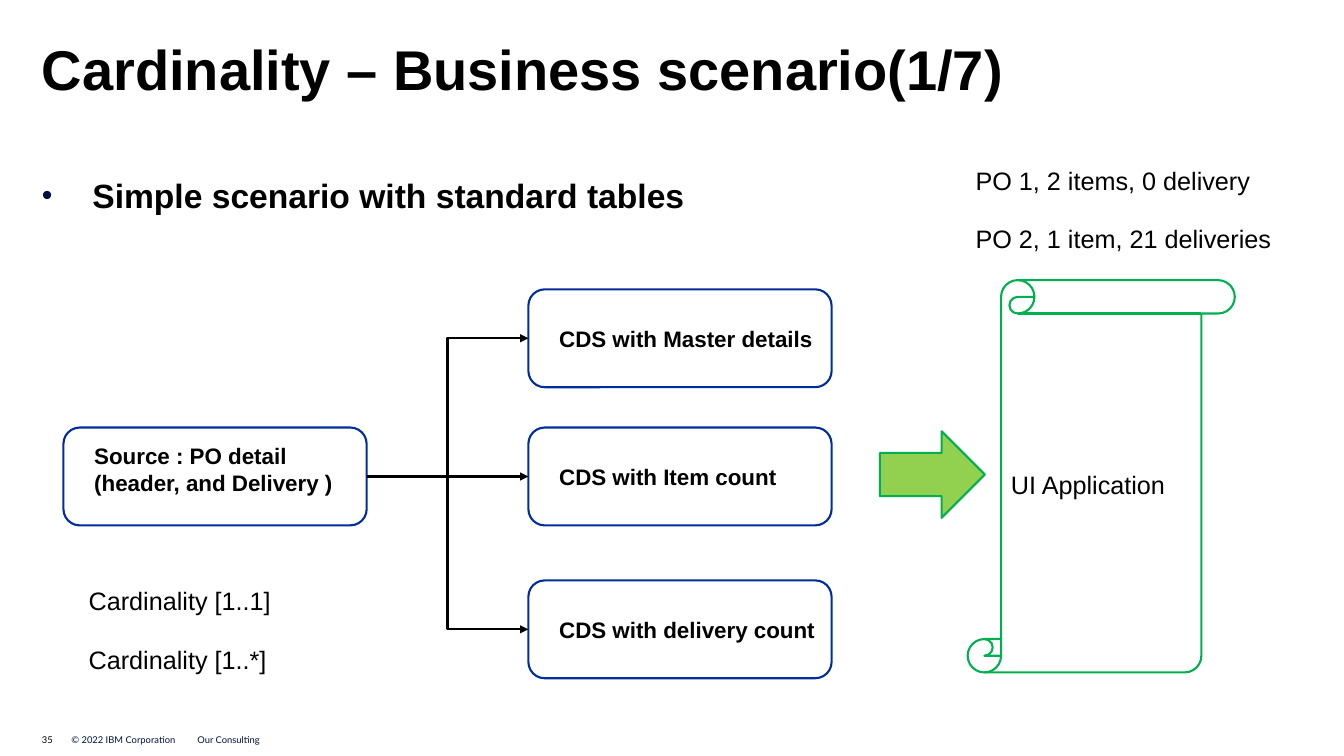
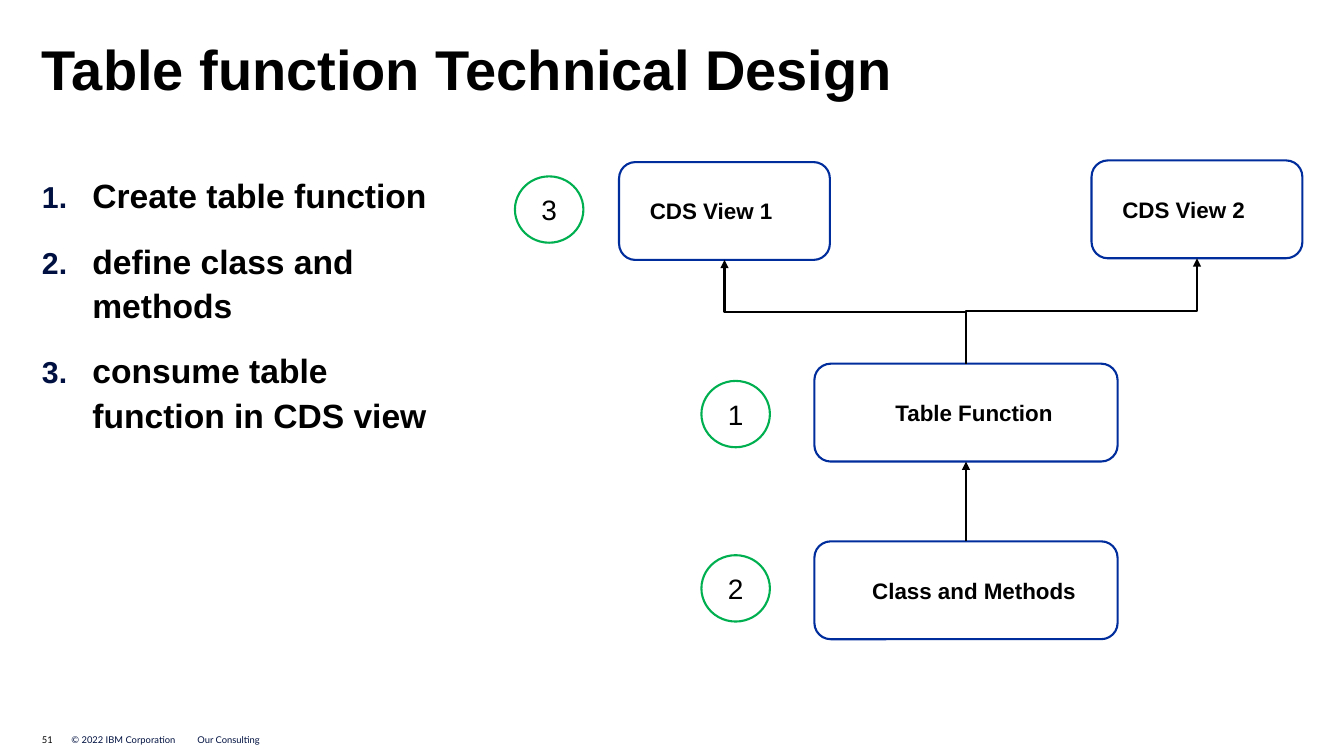
from dataclasses import dataclass

from lxml.etree import SubElement
from pptx import Presentation
from pptx.dml.color import RGBColor
from pptx.enum.shapes import MSO_CONNECTOR, MSO_SHAPE
from pptx.enum.text import MSO_ANCHOR, PP_ALIGN
from pptx.oxml.ns import qn
from pptx.util import Inches, Pt


@dataclass(frozen=True)
class Theme:
    ink: str = "000000"
    navy: str = "001141"
    blue: str = "002D9C"
    green: str = "00B050"
    lime: str = "92D050"
    white: str = "FFFFFF"
    font: str = "Arial"
    footer_font: str = "Lato"
    title: float = 40
    lead: float = 24
    badge: float = 20
    body: float = 18
    box: float = 16
    footer: float = 6.7
    line: float = 1.5


theme = Theme()
deck = Presentation()
deck.slide_width, deck.slide_height = Inches(13.33), Inches(7.5)
COLUMN, ROW = deck.slide_width / 32, deck.slide_height / 18


def put(slide, at, text="", preset=None, fill=None, line=None, size=theme.body,
        color=theme.ink, font=theme.font, bold=False, align=PP_ALIGN.LEFT,
        anchor=MSO_ANCHOR.TOP, inset=0, indent=0, spacing=1, before=0, bullet=None):
    """Place text at (column, row, columns, rows), inside a preset shape if one is named."""
    left, top, width, height = at
    frame = int(left * COLUMN), int(top * ROW), int(width * COLUMN), int(height * ROW)
    if preset is None:
        shape = slide.shapes.add_textbox(*frame)
    else:
        shape = slide.shapes.add_shape(preset, *frame)
        shape.shadow.inherit = False
        shape.line.color.rgb = RGBColor.from_string(line)
        shape.line.width = Pt(theme.line)
        if fill:
            shape.fill.solid()
            shape.fill.fore_color.rgb = RGBColor.from_string(fill)
        else:
            shape.fill.background()
    body = shape.text_frame
    body.word_wrap = True
    body.vertical_anchor = anchor
    body.margin_left = body.margin_right = Inches(inset)
    body.margin_top = body.margin_bottom = Inches(inset)
    for index, words in enumerate(text.split("\n") if text else []):
        paragraph = body.add_paragraph() if index else body.paragraphs[0]
        properties = paragraph._p.get_or_add_pPr()
        if bullet:
            properties.set("marL", str(Inches(0.5)))
            properties.set("indent", str(-Inches(0.5)))
            tint = SubElement(properties, qn("a:buClr"))
            SubElement(tint, qn("a:srgbClr"), val=theme.navy)
            SubElement(properties, qn("a:buSzPct"), val="90000")
            SubElement(properties, qn("a:buFont"), typeface=theme.font)
            if bullet == "1.":
                SubElement(properties, qn("a:buAutoNum"), type="arabicPeriod")
            else:
                SubElement(properties, qn("a:buChar"), char=bullet)
        elif indent:
            properties.set("marL", str(Inches(indent)))
        paragraph.alignment = align
        paragraph.line_spacing = spacing
        if index:
            paragraph.space_before = Pt(before)
        run = paragraph.add_run()
        run.text = words
        run.font.name, run.font.size, run.font.bold = font, Pt(size), bold
        run.font.color.rgb = RGBColor.from_string(color)
    return shape


def link(slide, source, target, upward=False):
    """Draw an arrow from source to target, rightward or upward."""
    if upward:
        x1, y1 = source.left + source.width / 2, source.top
        x2, y2 = target.left + target.width / 2, target.top + target.height
    else:
        x1, y1 = source.left + source.width, source.top + source.height / 2
        x2, y2 = target.left, target.top + target.height / 2
    straight = abs(x2 - x1) < COLUMN / 20 or abs(y2 - y1) < ROW / 20
    turned = upward and not straight
    if turned:
        # An elbow leaves sideways, so it is laid flat and then turned upward.
        x, y, rise, run = (x1 + x2) / 2, (y1 + y2) / 2, (y1 - y2) / 2, (x2 - x1) / 2
        x1, y1, x2, y2 = x - rise, y - run, x + rise, y + run
    kind = MSO_CONNECTOR.STRAIGHT if straight else MSO_CONNECTOR.ELBOW
    arrow = slide.shapes.add_connector(kind, int(x1), int(y1), int(x2), int(y2))
    arrow.line.color.rgb = RGBColor.from_string(theme.ink)
    arrow.line.width = Pt(theme.line)
    properties = arrow._element.spPr
    if turned:
        properties.find(qn("a:xfrm")).set("rot", str(270 * 60000))
    SubElement(arrow.line._get_or_add_ln(), qn("a:tailEnd"), type="triangle")
    SubElement(properties, qn("a:effectLst"))


title_style = dict(size=theme.title, bold=True, spacing=0.9)
lead_style = dict(size=theme.lead, bold=True, spacing=1.1, before=15)
note_style = dict(spacing=1.1, before=18)
box_style = dict(preset=MSO_SHAPE.ROUNDED_RECTANGLE, fill=theme.white, line=theme.blue,
                 size=theme.box, bold=True, inset=0.1, indent=0.16)
badge_style = dict(preset=MSO_SHAPE.OVAL, line=theme.green, size=theme.badge, inset=0.1,
                   align=PP_ALIGN.CENTER, anchor=MSO_ANCHOR.MIDDLE)
footer_style = dict(size=theme.footer, font=theme.footer_font, anchor=MSO_ANCHOR.MIDDLE)
BOX_WIDTH, VIEW_WIDTH, BOX_HEIGHT = 7.22, 5.02, 2.33

slides = []
for number, title in (("35", "Cardinality – Business scenario(1/7)"),
                      ("51", "Table function Technical Design")):
    slide = deck.slides.add_slide(deck.slide_layouts[6])
    put(slide, (1, 1, 29.45, 2.81), title, **title_style)
    for left, width, words, color in ((1, 0.7, number, theme.ink),
                                      (1.7, 3, "© 2022 IBM Corporation", theme.navy),
                                      (4.7, 3.6, "Our Consulting", theme.navy)):
        put(slide, (left, 17.38, width, 0.48), words, color=color, **footer_style)
    slides.append(slide)
scenario, design = slides

# Business scenario
put(scenario, (1, 4.08, 30, 1.85), "Simple scenario with standard tables",
    bullet="•", **lead_style)
put(scenario, (2.11, 13.87, BOX_WIDTH, 2.93), "Cardinality [1..1]\nCardinality [1..*]",
    **note_style)
put(scenario, (23.23, 3.86, 7.4, 2.93),
    "PO 1, 2 items, 0 delivery\nPO 2, 1 item, 21 deliveries", **note_style)
purchase_order = put(scenario, (1.51, 10.18, BOX_WIDTH, BOX_HEIGHT),
                     "Source : PO detail (header, and Delivery )", **box_style)
for top, words in ((6.89, "CDS with Master details"),
                   (10.18, "CDS with Item count"),
                   (13.82, "CDS with delivery count")):
    view = put(scenario, (12.58, top, BOX_WIDTH, BOX_HEIGHT), words,
               anchor=MSO_ANCHOR.MIDDLE, **box_style)
    link(scenario, purchase_order, view)
put(scenario, (23.04, 6.67, 6.36, 9.34), "UI Application", preset=MSO_SHAPE.VERTICAL_SCROLL,
    line=theme.green, inset=0.1, anchor=MSO_ANCHOR.MIDDLE)
put(scenario, (20.95, 10.27, 2.5, 2.06), preset=MSO_SHAPE.RIGHT_ARROW,
    fill=theme.lime, line=theme.green)

# Technical design
put(design, (1, 4.08, 10.1, 10.66),
    "Create table function\ndefine class and methods\nconsume table function in CDS view",
    bullet="1.", **lead_style)
class_box, function_box, first_view, second_view = [
    put(design, (left, top, width, BOX_HEIGHT), words, align=align,
        anchor=MSO_ANCHOR.MIDDLE, **box_style)
    for left, top, width, words, align in (
        (19.39, 12.89, BOX_WIDTH, "Class and Methods", PP_ALIGN.CENTER),
        (19.39, 8.66, BOX_WIDTH, "Table Function", PP_ALIGN.CENTER),
        (14.74, 3.86, VIEW_WIDTH, "CDS View 1", PP_ALIGN.LEFT),
        (25.99, 3.82, VIEW_WIDTH, "CDS View 2", PP_ALIGN.LEFT))]
for source, target in ((class_box, function_box), (function_box, first_view),
                       (function_box, second_view)):
    link(design, source, target, upward=True)
for left, top, step in ((16.7, 9.07, "1"), (16.7, 13.22, "2"), (12.26, 4.2, "3")):
    put(design, (left, top, 1.63, 1.58), step, **badge_style)

deck.save("out.pptx")
